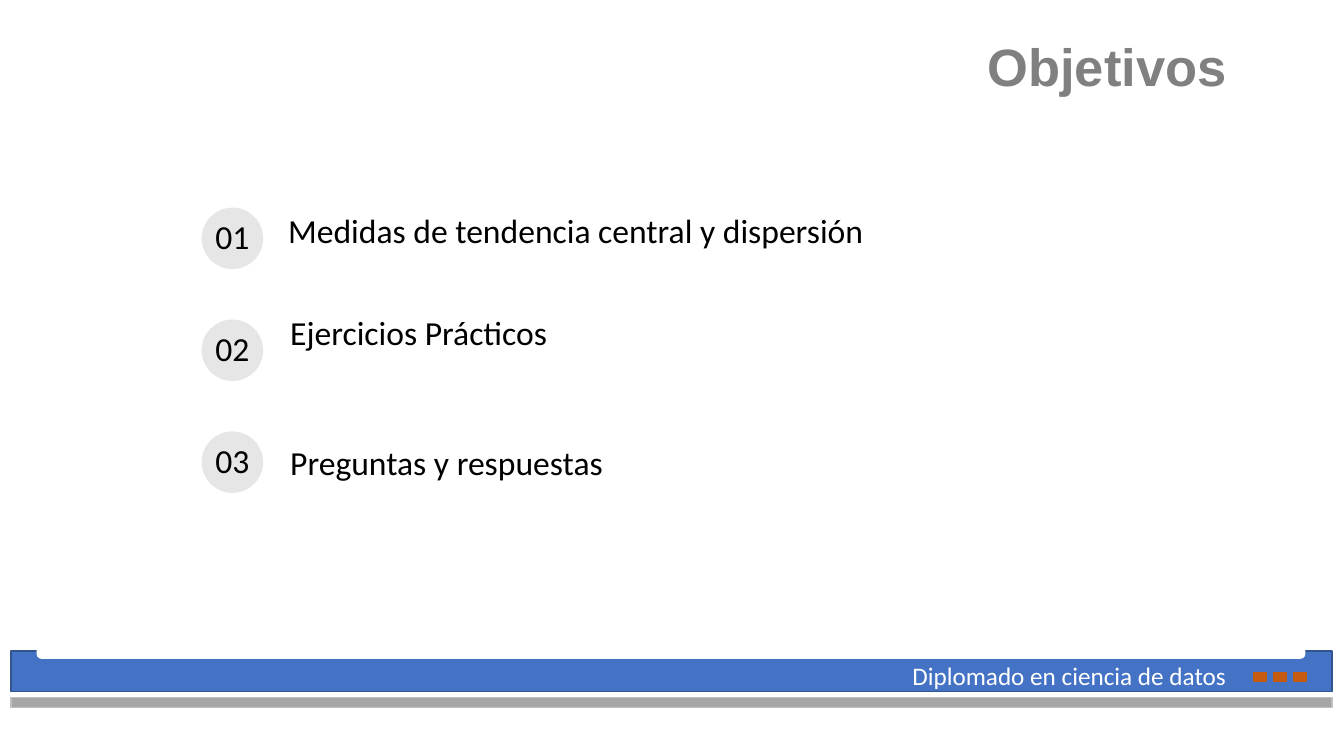
from dataclasses import dataclass

from pptx import Presentation
from pptx import util as u
from pptx.dml.color import RGBColor
from pptx.enum import shapes, text

# Content
TITLE = "Objetivos"
FOOTER = "Diplomado en ciencia de datos"
# number, circle top, objective, text (left, top, width, height)
OBJECTIVES = [
    ("01", 2.06, "Medidas de tendencia central y dispersión", (2.76, 2.13, 6.01, 0.58)),
    ("02", 3.17, "Ejercicios Prácticos", (2.78, 3.14, 4.11, 0.79)),
    ("03", 4.28, "Preguntas y respuestas", (2.78, 4.43, 3.58, 0.61)),
]


@dataclass(frozen=True)
class Theme:
    font: str = "Calibri"
    title_font: str = "Arial"
    title_size: float = 37.5
    body_size: float = 24
    footer_size: float = 18
    black: str = "000000"
    white: str = "FFFFFF"
    title: str = "808080"
    circle: str = "E7E6E6"
    band: str = "4472C4"
    band_edge: str = "325491"
    strip: str = "A6A6A6"
    strip_edge: str = "BFBFBF"
    accent: str = "C55A11"


THEME = Theme()


def place(*lengths):
    return [u.Inches(length) for length in lengths]


def add_block(slide, kind, box, fill, edge=None):
    block = slide.shapes.add_shape(kind, *place(*box))
    block.shadow.inherit = False
    block.fill.solid()
    block.fill.fore_color.rgb = RGBColor.from_string(fill)
    if edge:
        block.line.color.rgb = RGBColor.from_string(edge)
        block.line.width = u.Pt(1)
    else:
        block.line.fill.background()
    return block


def write(frame, words, size, color, font=THEME.font, bold=False,
          align=text.PP_ALIGN.LEFT, spacing=None,
          anchor=text.MSO_ANCHOR.TOP, insets=(0.1, 0.05, 0.1, 0.05)):
    frame.text = words
    frame.word_wrap = True
    frame.auto_size = text.MSO_AUTO_SIZE.NONE
    frame.vertical_anchor = anchor
    (frame.margin_left, frame.margin_top,
     frame.margin_right, frame.margin_bottom) = place(*insets)
    paragraph = frame.paragraphs[0]
    paragraph.alignment = align
    paragraph.line_spacing = spacing
    paragraph.font.name = font
    paragraph.font.size = u.Pt(size)
    paragraph.font.bold = bold
    paragraph.font.color.rgb = RGBColor.from_string(color)


def add_footer(slide):
    rect = shapes.MSO_SHAPE.RECTANGLE
    add_block(slide, rect, (0.11, 6.46, 13.1, 0.4), THEME.band, THEME.band_edge)
    add_block(slide, shapes.MSO_SHAPE.ROUNDED_RECTANGLE,
              (0.37, 6.27, 12.57, 0.26), THEME.white, THEME.white)
    add_block(slide, rect, (0.11, 6.92, 13.1, 0.1), THEME.strip, THEME.strip_edge)
    for index in range(3):
        add_block(slide, rect, (12.43 + 0.2 * index, 6.67, 0.13, 0.09),
                  THEME.accent, THEME.accent)
    label = slide.shapes.add_textbox(*place(8.95, 6.5, 3.45, 0.4))
    write(label.text_frame, FOOTER, THEME.footer_size, THEME.white)


def add_objective(slide, number, circle_top, objective, box):
    circle = add_block(slide, shapes.MSO_SHAPE.OVAL,
                       (2, circle_top, 0.61, 0.61), THEME.circle)
    write(circle.text_frame, number, THEME.body_size, THEME.black,
          align=text.PP_ALIGN.CENTER, spacing=0.9,
          anchor=text.MSO_ANCHOR.MIDDLE, insets=(0, 0, 0, 0))
    label = slide.shapes.add_textbox(*place(*box))
    write(label.text_frame, objective, THEME.body_size, THEME.black,
          spacing=0.9, insets=(0.1, 0, 0.1, 0.1))


def main():
    deck = Presentation()
    deck.slide_width, deck.slide_height = place(13.33, 7.5)
    slide = deck.slides.add_slide(deck.slide_layouts[5])

    # Title
    heading = slide.shapes.title
    heading.left, heading.top, heading.width, heading.height = place(1.41, 0.4, 11, 0.6)
    write(heading.text_frame, TITLE, THEME.title_size, THEME.title,
          font=THEME.title_font, bold=True, align=text.PP_ALIGN.RIGHT,
          spacing=0.7, anchor=text.MSO_ANCHOR.BOTTOM,
          insets=(0.1, 0.05, 0.24, 0.05))

    # Footer band
    add_footer(slide)

    # Numbered objectives
    for objective in OBJECTIVES:
        add_objective(slide, *objective)

    deck.save("out.pptx")


if __name__ == "__main__":
    main()
